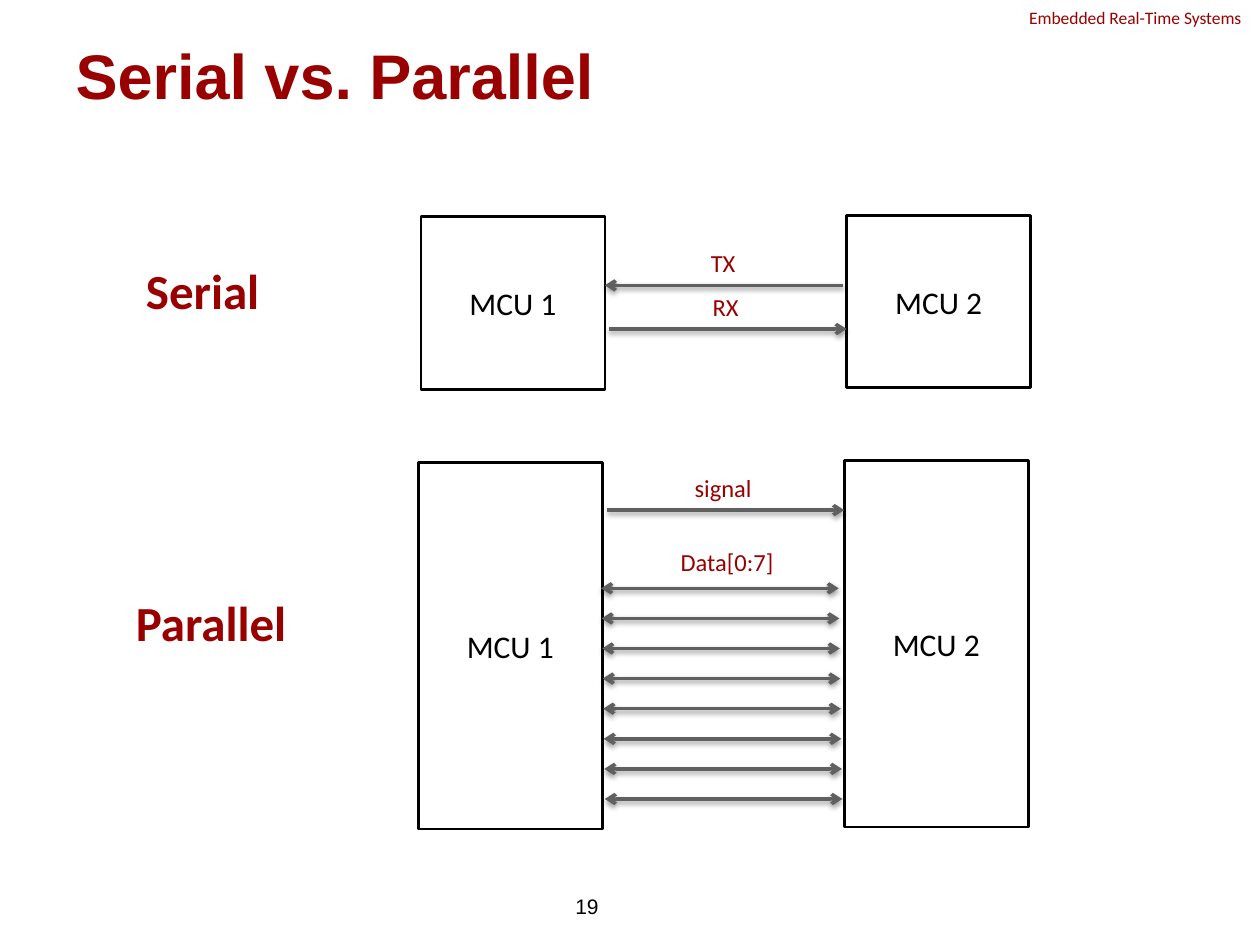
from lxml import etree
from pptx import Presentation
from pptx.dml.color import RGBColor
from pptx.enum import shapes, text
from pptx.oxml import ns
from pptx.util import Pt

HUES = {"red": "990000", "black": "000000", "gray": "606060", "white": "FFFFFF"}
TITLE = "Serial vs. Parallel"
BOXES = [
    ("MCU 1", 240.5, 123.9, 98.6),
    ("MCU 2", 483.8, 123, 98.6),
    ("MCU 1", 239, 264.2, 209.5),
    ("MCU 2", 482.4, 263, 209.5),
]
BOX_W = 105.2
LABELS = [
    ("TX", 365, 138.2),
    ("RX", 366.5, 163.4),
    ("signal", 365, 266.6),
    ("Data[0:7]", 367.2, 308.9),
]
HEADS = [("Serial", 76.3, 145.4), ("Parallel", 70.6, 334.8)]
WIRES = [
    (481.7, 163.1, 345.6, 163.1),
    (348, 188, 483.8, 188),
    (347, 291.5, 482.4, 291.5),
]
BITS, BUS_X, BUS_Y, BUS_W = 8, 343.5, 336.2, 135.8
STEP_X, STEP_Y = 0.3, 17.2

LEFT, MID, RIGHT = text.PP_ALIGN.LEFT, text.PP_ALIGN.CENTER, text.PP_ALIGN.RIGHT


def hue(name):
    return RGBColor.from_string(HUES[name])


def write(shape, words, size, color, align=LEFT, font="Calibri", bold=False, middle=False):
    frame = shape.text_frame
    frame.word_wrap = True
    frame.auto_size = text.MSO_AUTO_SIZE.NONE
    frame.vertical_anchor = text.MSO_ANCHOR.MIDDLE if middle else text.MSO_ANCHOR.TOP
    frame.text = words
    para = frame.paragraphs[0]
    para.alignment = align
    para.font.name, para.font.size, para.font.bold = font, Pt(size), bold
    para.font.color.rgb = hue(color)


def label(words, x, y, w, h, size, color, **style):
    box = slide.shapes.add_textbox(Pt(x), Pt(y), Pt(w), Pt(h))
    write(box, words, size, color, **style)


def node(parent, tag, **attrs):
    return etree.SubElement(parent, ns.qn(tag), attrs)


def wire(x1, y1, x2, y2, both=False):
    line = slide.shapes.add_connector(
        shapes.MSO_CONNECTOR.STRAIGHT, Pt(x1), Pt(y1), Pt(x2), Pt(y2))
    line.line.color.rgb = hue("gray")
    line.line.width = Pt(2)
    props = line._element.spPr
    stroke = props.find(ns.qn("a:ln"))
    if both:
        node(stroke, "a:headEnd", type="arrow")
    node(stroke, "a:tailEnd", type="arrow")
    shade = node(node(props, "a:effectLst"), "a:outerShdw", blurRad=str(Pt(3.1)),
                 dist=str(Pt(1.6)), dir="5400000", rotWithShape="0")
    node(node(shade, "a:srgbClr", val=HUES["black"]), "a:alpha", val="38000")


deck = Presentation()
deck.slide_width, deck.slide_height = Pt(720), Pt(540)
slide = deck.slides.add_slide(deck.slide_layouts[5])

title = slide.shapes.title
title.left, title.top, title.width, title.height = Pt(36), Pt(21.6), Pt(648), Pt(42)
write(title, TITLE, 36, "red", font="Arial", bold=True, middle=True)
label("Embedded Real-Time Systems", 581, 0.7, 163.4, 19.4, 10, "red")
label("19", 181.4, 503.3, 167.8, 28.8, 12, "black", align=RIGHT, font="Arial", middle=True)

for words, x, y, h in BOXES:
    box = slide.shapes.add_shape(
        shapes.MSO_SHAPE.RECTANGLE, Pt(x), Pt(y), Pt(BOX_W), Pt(h))
    box.shadow.inherit = False
    box.fill.solid()
    box.fill.fore_color.rgb = hue("white")
    box.line.color.rgb = hue("black")
    box.line.width = Pt(1.5)
    write(box, words, 18, "black", align=MID, middle=True)

for ends in WIRES:
    wire(*ends)
for bit in range(BITS):
    x, y = BUS_X + bit * STEP_X, BUS_Y + bit * STEP_Y
    wire(x, y, x + BUS_W, y, both=True)

for words, x, y in LABELS:
    label(words, x, y, 96.5, 24.2, 14, "red", align=MID)
for words, x, y in HEADS:
    label(words, x, y, 129.6, 41.2, 28, "red", bold=True)

deck.save("out.pptx")
